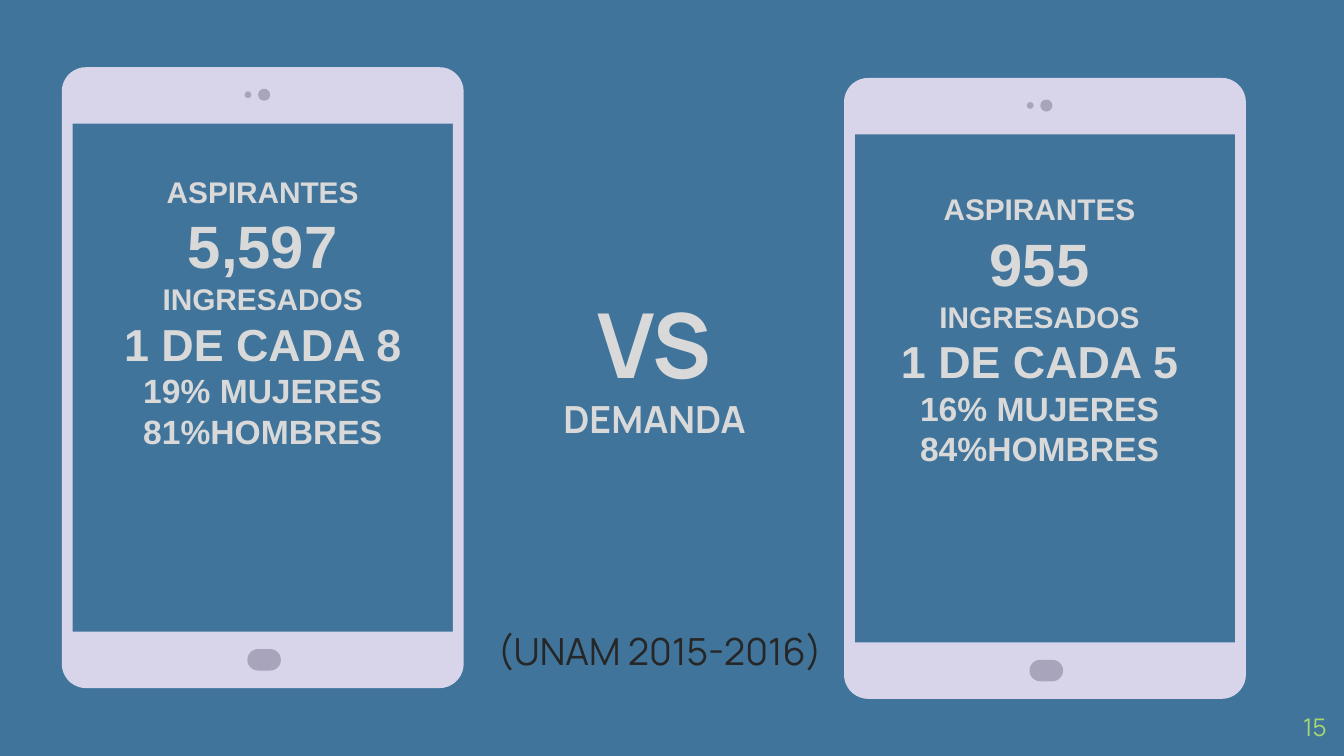
from math import cos, radians, sin

from pptx import Presentation
from pptx.dml.color import RGBColor
from pptx.enum.shapes import MSO_SHAPE
from pptx.enum.text import MSO_ANCHOR, MSO_AUTO_SIZE, PP_ALIGN
from pptx.util import Inches, Pt

OVAL, ROUND = MSO_SHAPE.OVAL, MSO_SHAPE.ROUNDED_RECTANGLE
TOP, MIDDLE, BOTTOM = MSO_ANCHOR.TOP, MSO_ANCHOR.MIDDLE, MSO_ANCHOR.BOTTOM
CENTER, RIGHT = PP_ALIGN.CENTER, PP_ALIGN.RIGHT
NO_FIT = MSO_AUTO_SIZE.NONE

BLUE = RGBColor(0x40, 0x74, 0x9B)
LILAC = RGBColor(0xD8, 0xD5, 0xEB)
MAUVE = RGBColor(0xA7, 0xA4, 0xBC)
PALE = RGBColor(0xD9, 0xD9, 0xD9)
DARK = RGBColor(0x26, 0x26, 0x26)
GREEN = RGBColor(0xA7, 0xD8, 0x6D)

# Tablet size, corner radius and screen, measured from its top left
WIDTH, HEIGHT, RADIUS = 2.99, 4.62, 0.18
SCREEN = (0.08, 0.42, 2.83, 3.78)
SIZES = (16, 32, 16, 24, 18, 18)


def write(frame, lines, sizes, font="Manrope", color=PALE, bold=False,
          align=CENTER, anchor=BOTTOM, inset=True, breaks=False):
    """Fill a frame, one paragraph a line, or one paragraph with line breaks."""
    frame.word_wrap = True
    frame.auto_size = NO_FIT
    frame.vertical_anchor = anchor
    if not inset:
        frame.margin_left = frame.margin_right = 0
        frame.margin_top = frame.margin_bottom = 0
    para = frame.paragraphs[0]
    for i, (line, size) in enumerate(zip(lines, sizes)):
        if i and breaks:
            para.add_line_break()
        elif i:
            para = frame.add_paragraph()
        para.alignment = align
        run = para.add_run()
        run.text = line
        run.font.size = Pt(size)
        run.font.name = font
        run.font.bold = bold
        run.font.color.rgb = color


def add_text(slide, box, lines, sizes, **style):
    shape = slide.shapes.add_textbox(*map(Inches, box))
    write(shape.text_frame, lines, sizes, **style)


def paint(shape, color):
    shape.shadow.inherit = False
    shape.fill.solid()
    shape.fill.fore_color.rgb = color
    shape.line.fill.background()


def round_edge(x, y):
    """Points around the tablet, an arc at each corner."""
    near, far = RADIUS, HEIGHT - RADIUS
    right = WIDTH - RADIUS
    corners = ((near, near), (right, near), (right, far), (near, far))
    points = []
    for i, (cx, cy) in enumerate(corners):
        for step in range(0, 91, 10):
            turn = radians(180 + 90 * i + step)
            points.append((Inches(x + cx + RADIUS * cos(turn)),
                           Inches(y + cy + RADIUS * sin(turn))))
    return points


def add_tablet(slide, x, y):
    shapes = slide.shapes.add_group_shape().shapes

    # Frame with the screen cut out
    edge = round_edge(x, y)
    left, top, wide, high = SCREEN
    x1, y1 = Inches(x + left), Inches(y + top)
    x2, y2 = Inches(x + left + wide), Inches(y + top + high)
    pen = shapes.build_freeform(*edge[0])
    pen.add_line_segments(edge[1:], close=True)
    pen.move_to(x1, y1)
    pen.add_line_segments([(x1, y2), (x2, y2), (x2, y1)], close=True)
    paint(pen.convert_to_shape(), LILAC)

    # Home button, sensor and camera
    for kind, dx, dy, w, h in ((ROUND, 1.38, 4.33, 0.25, 0.16),
                               (OVAL, 1.36, 0.18, 0.05, 0.05),
                               (OVAL, 1.46, 0.16, 0.09, 0.09)):
        part = shapes.add_shape(kind, Inches(x + dx), Inches(y + dy),
                                Inches(w), Inches(h))
        if kind == ROUND:
            part.adjustments[0] = 0.5
        paint(part, MAUVE)


def add_facts(slide, x, y, total, share, women, men):
    lines = ("ASPIRANTES", total, "INGRESADOS", share,
             f"{women} MUJERES", f"{men}HOMBRES")
    add_text(slide, (x, y, 2.67, 2.19), lines, SIZES, font="Arial",
             bold=True, anchor=TOP)


def main():
    deck = Presentation()
    # Widescreen, 16 to 9
    deck.slide_width = Inches(10)
    deck.slide_height = Inches(10 * 9 / 16)
    slide = deck.slides.add_slide(deck.slide_layouts[5])
    slide.background.fill.solid()
    slide.background.fill.fore_color.rgb = BLUE

    # Title
    title = slide.shapes.title
    title.left, title.top = Inches(2.82), Inches(2.34)
    title.width, title.height = Inches(4.1), Inches(0.94)
    write(title.text_frame, ("VS", "DEMANDA"), (48, 20), bold=True,
          inset=False, breaks=True)

    # Tablets and their figures
    add_tablet(slide, 6.28, 0.58)
    add_tablet(slide, 0.46, 0.5)
    add_facts(slide, 0.62, 1.24, "5,597", "1 DE CADA 8", "19%", "81%")
    add_facts(slide, 6.4, 1.37, "955", "1 DE CADA 5", "16%", "84%")

    # Source and page number
    add_text(slide, (2.86, 4.07, 4.1, 0.94), ("(UNAM 2015-2016)",), (20,),
             color=DARK, inset=False)
    add_text(slide, (9.27, 5.19, 0.6, 0.43), ("15",), (13,), color=GREEN,
             align=RIGHT, anchor=MIDDLE, inset=False)
    deck.save("out.pptx")


if __name__ == "__main__":
    main()
